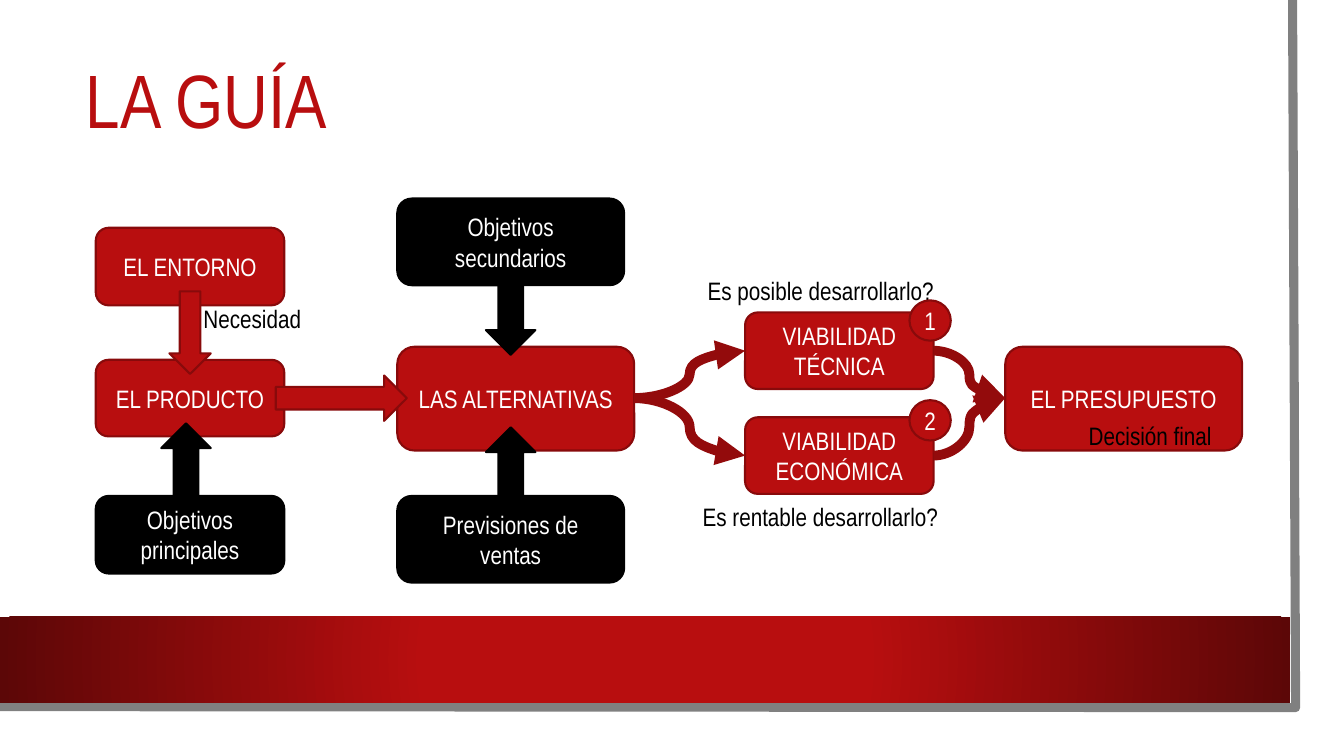
from lxml.etree import SubElement
from pptx import Presentation
from pptx.dml.color import RGBColor
from pptx.enum.shapes import MSO_CONNECTOR, MSO_SHAPE
from pptx.enum.text import MSO_ANCHOR, MSO_AUTO_SIZE, PP_ALIGN
from pptx.oxml import parse_xml
from pptx.oxml.ns import nsdecls, qn
from pptx.util import Emu, Pt

PX = 9144
RED, DARK_RED, CURVE_RED, DEEP_RED = "B80E0F", "880A0B", "930B0C", "5C0707"
BLACK, WHITE, GREY = "000000", "FFFFFF", "808080"


def color(hex_string):
    return RGBColor.from_string(hex_string)


def px(*lengths):
    return [Emu(length * PX) for length in lengths]


class GuideSlide:
    """Draws the guide diagram on one slide in a single style."""

    font = "Arial Narrow"
    text_size = 18
    outline = 1.5

    def __init__(self, deck):
        self.slide = deck.slides.add_slide(deck.slide_layouts[5])
        self.shapes = self.slide.shapes

    def add_text(self, frame, text, ink, size=text_size, align=PP_ALIGN.LEFT):
        frame.word_wrap = True
        for index, line in enumerate(text.split("\n")):
            paragraph = frame.paragraphs[0] if index == 0 else frame.add_paragraph()
            paragraph.alignment = align
            run = paragraph.add_run()
            run.text = line
            run.font.name = self.font
            run.font.size = Pt(size)
            run.font.color.rgb = color(ink)
        return frame

    def title(self, text, box):
        heading = self.shapes.title
        self.shapes._spTree.append(heading._element)
        heading.left, heading.top, heading.width, heading.height = px(*box)
        frame = self.add_text(heading.text_frame, text, RED, 54)
        frame.auto_size = MSO_AUTO_SIZE.NONE
        frame.vertical_anchor = MSO_ANCHOR.MIDDLE
        frame.paragraphs[0].line_spacing = 0.9

    def block(self, kind, box, fill=RED, line=DARK_RED, text="", rotation=0):
        block = self.shapes.add_shape(kind, *px(*box))
        block.shadow.inherit = False
        block.rotation = rotation
        block.fill.solid()
        block.fill.fore_color.rgb = color(fill)
        if line:
            block.line.color.rgb = color(line)
            block.line.width = Pt(self.outline)
        else:
            block.line.fill.background()
        if text:
            frame = self.add_text(block.text_frame, text, WHITE, align=PP_ALIGN.CENTER)
            frame.vertical_anchor = MSO_ANCHOR.MIDDLE
        return block

    def badge(self, text, box):
        badge = self.block(MSO_SHAPE.OVAL, box, text=text)
        badge.text_frame.word_wrap = False

    def label(self, text, box):
        self.add_text(self.shapes.add_textbox(*px(*box)).text_frame, text, BLACK)

    def curve(self, start, end):
        curve = self.shapes.add_connector(MSO_CONNECTOR.CURVE, *px(*start, *end))
        curve.line.color.rgb = color(CURVE_RED)
        curve.line.width = Pt(7)
        properties = curve._element.spPr
        SubElement(properties.find(qn("a:ln")), qn("a:tailEnd"), type="triangle")
        SubElement(properties, qn("a:effectLst"))

    def band(self, box):
        band = self.block(MSO_SHAPE.RECTANGLE, box, line=None)
        band.fill.gradient()
        for stop, position, tint in zip(band.fill.gradient_stops, (0.34, 1), (RED, DEEP_RED)):
            stop.position = position
            stop.color.rgb = color(tint)
        gradient = band._element.spPr.find(qn("a:gradFill"))
        gradient.replace(gradient.find(qn("a:lin")), parse_xml(
            f'<a:path {nsdecls("a")} path="circle">'
            '<a:fillToRect l="50000" t="50000" r="50000" b="50000"/></a:path>'))

    def edge(self, start, *corners):
        builder = self.shapes.build_freeform(*start, scale=PX)
        builder.add_line_segments(corners, close=False)
        edge = builder.convert_to_shape()
        edge.shadow.inherit = False
        edge.fill.background()
        edge.line.color.rgb = color(GREY)
        edge.line.width = Pt(6.5)


def main():
    deck = Presentation()
    deck.slide_width, deck.slide_height = px(1333, 750)
    guide = GuideSlide(deck)
    rounded = MSO_SHAPE.ROUNDED_RECTANGLE

    guide.block(MSO_SHAPE.RECTANGLE, (0, 0, 1310, 727), WHITE, None)
    guide.edge((1282, 0), (1285, 702), (-3, 701))
    guide.band((0, 612, 1280, 85))
    guide.title("LA GUÍA", (75, 40, 1137, 126))

    guide.block(rounded, (95, 226, 187, 77), text="EL ENTORNO")
    guide.block(rounded, (95, 357, 187, 76), text="EL PRODUCTO")
    guide.block(MSO_SHAPE.DOWN_ARROW, (168, 289, 41, 82))
    guide.label("Necesidad", (192, 296, 130, 40))

    guide.block(rounded, (739, 310, 187, 76), text="VIABILIDAD TÉCNICA")
    guide.block(rounded, (739, 414, 187, 76), text="VIABILIDAD\nECONÓMICA")
    guide.label("Es posible desarrollarlo?", (692, 268, 280, 40))
    guide.label("Es rentable desarrollarlo?", (687, 492, 291, 40))

    guide.block(rounded, (394, 344, 235, 103), text="LAS ALTERNATIVAS")
    guide.block(MSO_SHAPE.DOWN_ARROW, (316, 330, 45, 130), rotation=270)
    for study_y in (452, 348):
        guide.curve((629, 395), (739, study_y))
    guide.block(rounded, (997, 344, 235, 103), text="EL PRESUPUESTO")
    for study_y in (348, 452):
        guide.curve((926, study_y), (997, 395))
    for number, top in (("1", 298), ("2", 397)):
        guide.badge(number, (902, top, 41, 40))

    for text, box in (
        ("Previsiones de ventas", (394, 492, 225, 86)),
        ("Objetivos principales", (95, 492, 187, 77)),
        ("Objetivos secundarios", (394, 197, 225, 86)),
    ):
        guide.block(rounded, box, BLACK, BLACK, text)
    for left, top, rotation in ((146, 434, 270), (468, 438, 270), (468, 289, 90)):
        guide.block(MSO_SHAPE.RIGHT_ARROW, (left, top, 77, 49), BLACK, BLACK, rotation=rotation)
    guide.label("Decisión final", (1070, 412, 163, 40))

    deck.save("out.pptx")


if __name__ == "__main__":
    main()
